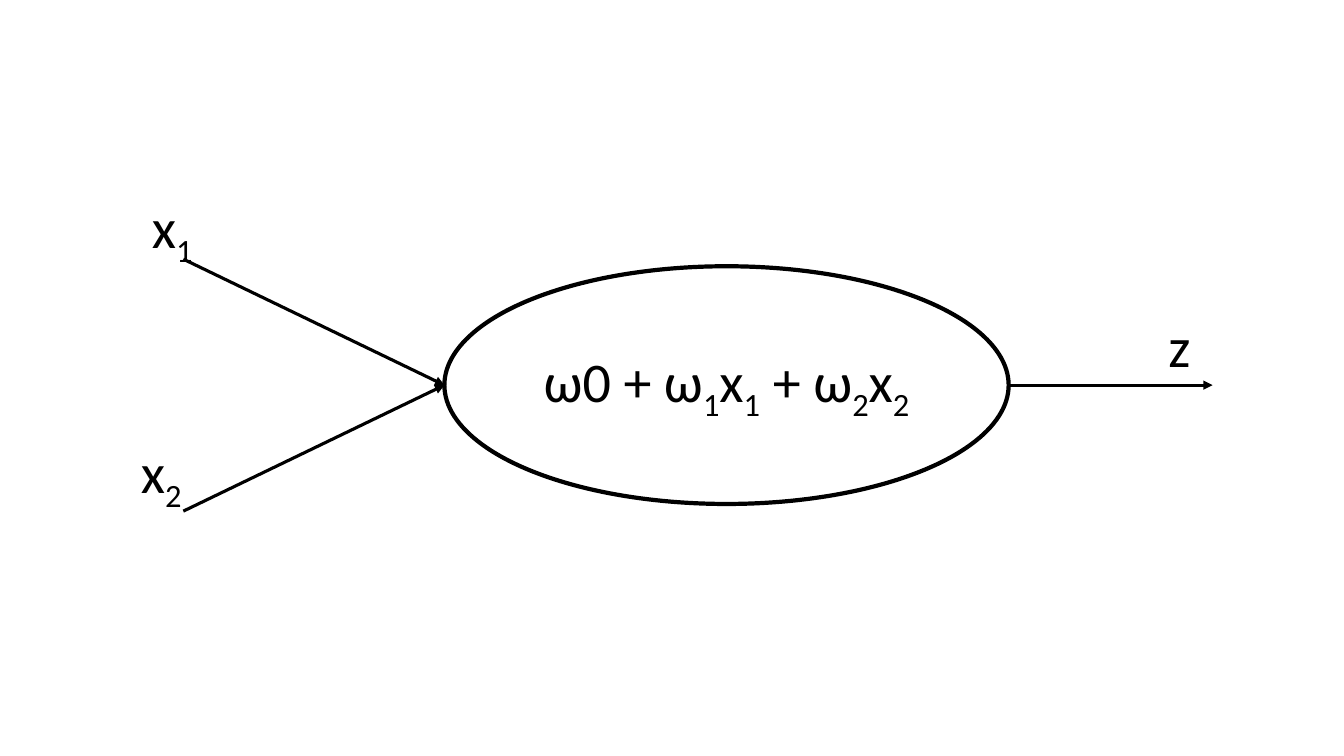
from dataclasses import dataclass

from lxml.etree import SubElement
from pptx import Presentation
from pptx.dml.color import RGBColor
from pptx.enum.shapes import MSO_CONNECTOR, MSO_SHAPE
from pptx.enum.text import MSO_ANCHOR, MSO_AUTO_SIZE, PP_ALIGN
from pptx.oxml.ns import qn
from pptx.slide import Slide
from pptx.text.text import TextFrame
from pptx.util import Cm, Pt

COLORS = {"ink": "000000"}
FONT = "Calibri"
LABEL_WIDTH, LABEL_HEIGHT = 3.78, 1.96

NEURON_LEFT, NEURON_TOP = 11.2, 6.71
NEURON_WIDTH, NEURON_HEIGHT = 14.22, 5.99
NEURON_RIGHT = NEURON_LEFT + NEURON_WIDTH
AXIS = NEURON_TOP + NEURON_HEIGHT / 2


@dataclass(frozen=True)
class Signal:
    """An arrow into or out of the neuron and its label, in centimetres."""

    text: str
    label: tuple[float, float]
    start: tuple[float, float]
    end: tuple[float, float]
    align: PP_ALIGN = PP_ALIGN.LEFT


SIGNALS = [
    Signal("x_1", (3.58, 4.72), (4.62, 6.53), (NEURON_LEFT, AXIS)),
    Signal("x_2", (3.3, 10.9), (4.62, 12.88), (NEURON_LEFT, AXIS)),
    Signal("z", (26.47, 7.72), (NEURON_RIGHT, AXIS), (30.56, AXIS), PP_ALIGN.RIGHT),
]


def ink() -> RGBColor:
    """Return the drawing colour."""
    return RGBColor.from_string(COLORS["ink"])


def write_text(frame: TextFrame, text: str, *, align: PP_ALIGN,
               anchor: MSO_ANCHOR = MSO_ANCHOR.TOP, size: float = 40) -> None:
    """Write one paragraph; the character after an underscore is a subscript."""
    frame.word_wrap = True
    frame.vertical_anchor = anchor
    para = frame.paragraphs[0]
    para.alignment = align
    first, *rest = text.split("_")
    pieces = [(first, False)]
    for part in rest:
        pieces += [(part[0], True), (part[1:], False)]
    for piece, subscript in pieces:
        if not piece:
            continue
        span = para.add_run()
        span.text = piece
        span.font.name = FONT
        span.font.size = Pt(size)
        span.font.color.rgb = ink()
        if subscript:
            span.font._element.set("baseline", "-25000")


def draw_neuron(page: Slide) -> None:
    """Draw the ellipse that holds the weighted sum."""
    neuron = page.shapes.add_shape(
        MSO_SHAPE.OVAL, Cm(NEURON_LEFT), Cm(NEURON_TOP), Cm(NEURON_WIDTH), Cm(NEURON_HEIGHT))
    neuron.shadow.inherit = False
    neuron.fill.background()
    neuron.line.color.rgb = ink()
    neuron.line.width = Pt(3)
    write_text(neuron.text_frame, "ω0 + ω_1x_1 + ω_2x_2",
               align=PP_ALIGN.CENTER, anchor=MSO_ANCHOR.MIDDLE)


def draw_signal(page: Slide, signal: Signal) -> None:
    """Draw one labelled arrow."""
    arrow = page.shapes.add_connector(
        MSO_CONNECTOR.STRAIGHT, *map(Cm, signal.start + signal.end))
    arrow.line.color.rgb = ink()
    arrow.line.width = Pt(2.25)
    SubElement(arrow.line._get_or_add_ln(), qn("a:tailEnd"), type="triangle")
    SubElement(arrow._element.spPr, qn("a:effectLst"))

    box = page.shapes.add_textbox(*map(Cm, (*signal.label, LABEL_WIDTH, LABEL_HEIGHT)))
    write_text(box.text_frame, signal.text, align=signal.align)
    box.text_frame.auto_size = MSO_AUTO_SIZE.SHAPE_TO_FIT_TEXT


def main() -> None:
    """Build the slide and save it."""
    deck = Presentation()
    deck.slide_width, deck.slide_height = Cm(33.87), Cm(19.05)
    page = deck.slides.add_slide(deck.slide_layouts[6])
    draw_neuron(page)
    for signal in SIGNALS:
        draw_signal(page, signal)
    deck.save("out.pptx")


main()
